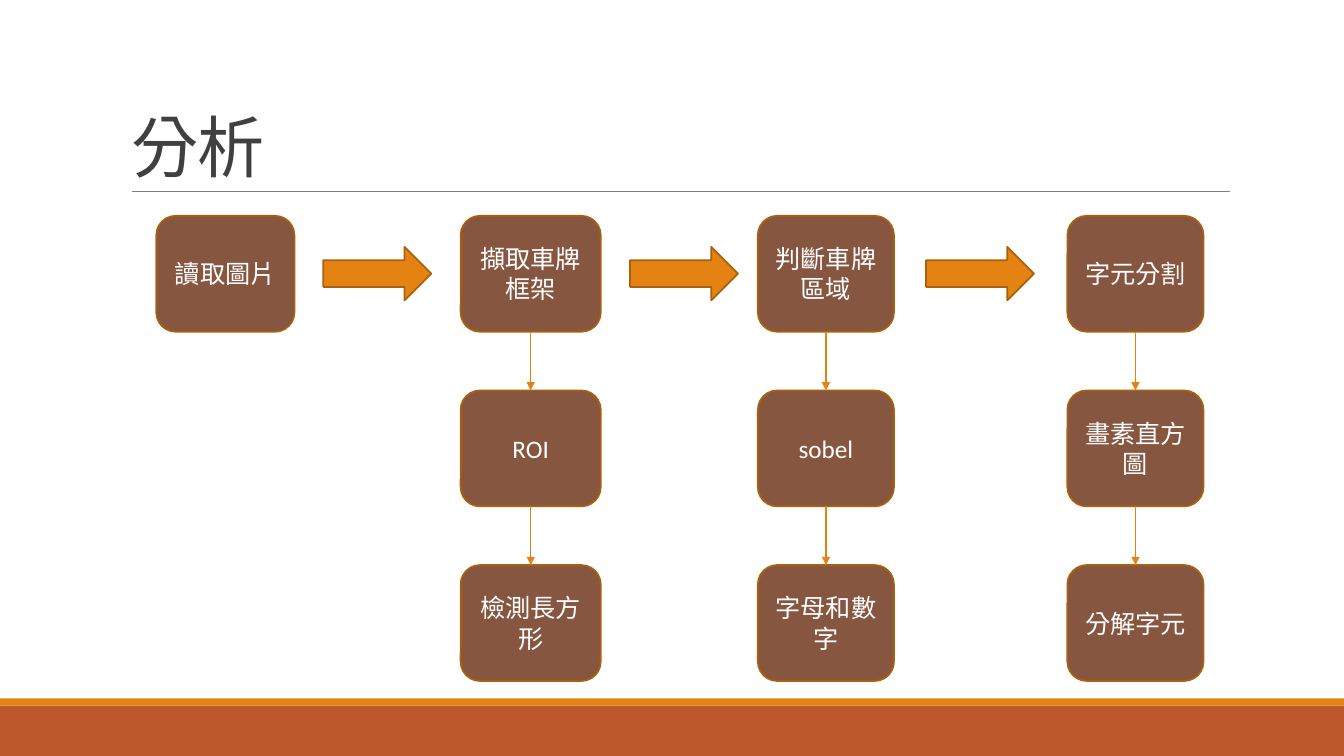
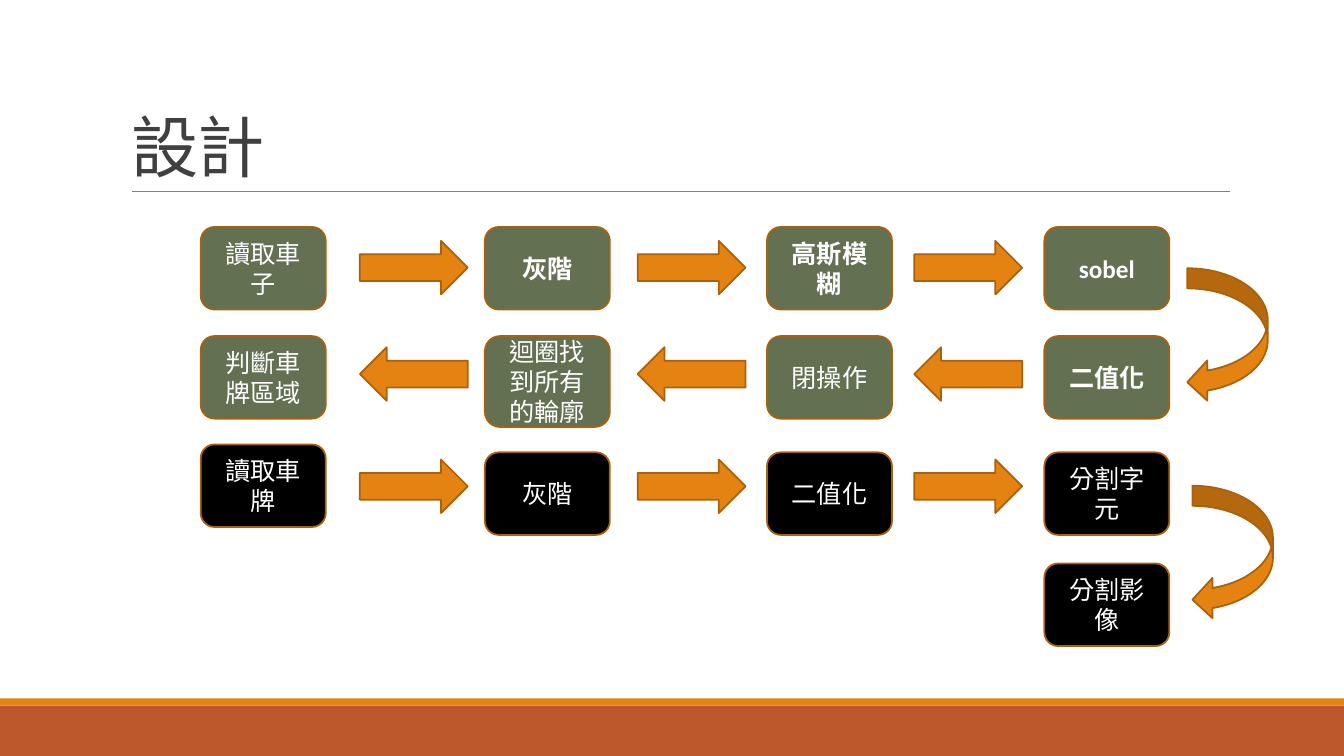
from dataclasses import dataclass
from itertools import pairwise

from lxml.etree import SubElement
from pptx import Presentation
from pptx.dml.color import RGBColor
from pptx.enum.shapes import MSO_CONNECTOR, MSO_SHAPE as Shape
from pptx.enum.text import MSO_ANCHOR, MSO_AUTO_SIZE, PP_ALIGN
from pptx.oxml.ns import qn
from pptx.util import Cm, Pt


@dataclass(frozen=True)
class Theme:
    font: str = "Calibri"
    title_size: float = 48
    node_size: float = 18
    title: str = "404040"
    text: str = "FFFFFF"
    band: str = "BD582C"
    accent: str = "E48312"
    outline: str = "A9610D"
    rule: str = "808080"
    brown: str = "865640"
    green: str = "637052"
    black: str = "000000"


@dataclass(frozen=True)
class Step:
    """A node in a row; drop shifts it down from the row's top."""
    text: str
    bold: bool = False
    drop: float = 0
    height: float = 2.08


def rgb(color):
    return RGBColor.from_string(color)


class Deck:
    """Holds the theme and the current slide; all lengths are centimetres."""
    WIDTH, HEIGHT = 33.87, 19.05
    ARROW_W, ARROW_H = 2.72, 1.35

    def __init__(self, theme):
        self.theme = theme
        self.prs = Presentation()
        self.prs.slide_width = Cm(self.WIDTH)
        self.prs.slide_height = Cm(self.HEIGHT)
        self.s = None

    def new_slide(self, title):
        t = self.theme
        self.s = self.prs.slides.add_slide(self.prs.slide_layouts[5])
        self.shape(Shape.RECTANGLE, 0, 17.78, self.WIDTH, 1.27, t.band, None)
        self.shape(Shape.RECTANGLE, 0, 17.6, self.WIDTH, 0.18, t.accent, None)
        self.line(t.rule, 0.5, (3.33, 4.83), (31, 4.83))
        self.title(title)

    def title(self, text):
        t = self.theme
        sp = self.s.shapes.title
        sp.left, sp.top, sp.width, sp.height = Cm(3.05), Cm(0.79), Cm(27.94), Cm(4.04)
        tf = sp.text_frame
        tf.text = text
        tf.auto_size = MSO_AUTO_SIZE.NONE
        tf.vertical_anchor = MSO_ANCHOR.BOTTOM
        p = tf.paragraphs[0]
        p.alignment = PP_ALIGN.LEFT
        p.line_spacing = 0.85
        self.format_run(p.runs[0], t.title_size, t.title)
        p.runs[0].font._element.set("spc", "-50")

    def format_run(self, r, size, color, bold=False):
        f = r.font
        f.name, f.size, f.bold = self.theme.font, Pt(size), bold
        f.color.rgb = rgb(color)
        f._element.set("lang", "zh-TW")

    def shape(self, kind, x, y, w, h, fill, outline):
        sp = self.s.shapes.add_shape(kind, Cm(x), Cm(y), Cm(w), Cm(h))
        sp.shadow.inherit = False
        sp.fill.solid()
        sp.fill.fore_color.rgb = rgb(fill)
        if outline:
            sp.line.color.rgb = rgb(outline)
            sp.line.width = Pt(1.25)
        else:
            sp.line.fill.background()
        return sp

    def line(self, color, width, start=(0, 0), end=(0, 0)):
        points = [Cm(v) for v in (*start, *end)]
        cx = self.s.shapes.add_connector(MSO_CONNECTOR.STRAIGHT, *points)
        cx.line.color.rgb = rgb(color)
        cx.line.width = Pt(width)
        SubElement(cx._element.spPr, qn("a:effectLst"))
        return cx

    def node(self, text, x, y, w, h, fill, bold=False):
        t = self.theme
        sp = self.shape(Shape.ROUNDED_RECTANGLE, x, y, w, h, fill, t.outline)
        tf = sp.text_frame
        tf.text = text
        tf.word_wrap = True
        tf.vertical_anchor = MSO_ANCHOR.MIDDLE
        p = tf.paragraphs[0]
        p.alignment = PP_ALIGN.CENTER
        self.format_run(p.runs[0], t.node_size, t.text, bold)
        return sp

    def block_arrow(self, x, y, backwards=False):
        sp = self.shape(Shape.RIGHT_ARROW, x, y, self.ARROW_W, self.ARROW_H,
                        self.theme.accent, self.theme.outline)
        if backwards:
            sp.rotation = 180

    def turn_arrow(self, x, y):
        self.shape(Shape.CURVED_LEFT_ARROW, x, y, 2.03, 3.38,
                   self.theme.accent, self.theme.outline)

    def link_down(self, upper, lower):
        """Thin arrow from the bottom of one node to the top of the next."""
        cx = self.line(self.theme.accent, 1)
        cx.begin_connect(upper, 2)
        cx.end_connect(lower, 0)
        SubElement(cx.line._get_or_add_ln(), qn("a:tailEnd"), type="triangle")


def analysis_slide(deck):
    top, pitch, height = 5.44, 4.4, 2.92
    columns = [
        (3.94, 3.48, ["讀取圖片"]),
        (11.61, 3.53, ["擷取車牌框架", "ROI", "檢測長方形"]),
        (19.1, 3.43, ["判斷車牌區域", "sobel", "字母和數字"]),
        (26.9, 3.43, ["字元分割", "畫素直方圖", "分解字元"]),
    ]
    deck.new_slide("分析")
    for x, width, texts in columns:
        nodes = [deck.node(text, x, top + i * pitch, width, height, deck.theme.brown)
                 for i, text in enumerate(texts)]
        for upper, lower in pairwise(nodes):
            deck.link_down(upper, lower)
    for x in (8.15, 15.88, 23.34):
        deck.block_arrow(x, 6.22)


def design_slide(deck):
    green, black = deck.theme.green, deck.theme.black
    node_width = 3.15
    node_lefts = (5.06, 12.22, 19.33, 26.32)
    arrow_lefts = (9.07, 16.07, 23.04)
    # node top, arrow top, arrows point left, fill, steps from left to right
    rows = [
        (5.72, 6.07, False, green,
         [Step("讀取車子"), Step("灰階", True), Step("高斯模糊", True), Step("sobel", True)]),
        (8.47, 8.75, True, green,
         [Step("判斷車牌區域"), Step("迴圈找到所有的輪廓", height=2.29),
          Step("閉操作"), Step("二值化", True)]),
        (11.4, 11.58, False, black,
         [Step("讀取車牌", drop=-0.2), Step("灰階"), Step("二值化"), Step("分割字元")]),
    ]
    deck.new_slide("設計")
    for top, arrow_top, backwards, fill, steps in rows:
        for x, step in zip(node_lefts, steps):
            deck.node(step.text, x, top + step.drop, node_width, step.height, fill, step.bold)
        for x in arrow_lefts:
            deck.block_arrow(x, arrow_top, backwards)
    deck.node("分割影像", node_lefts[-1], 14.2, node_width, Step.height, black)
    deck.turn_arrow(29.92, 6.76)
    deck.turn_arrow(30.05, 12.24)


def main():
    deck = Deck(Theme())
    analysis_slide(deck)
    design_slide(deck)
    deck.prs.save("out.pptx")


if __name__ == "__main__":
    main()
